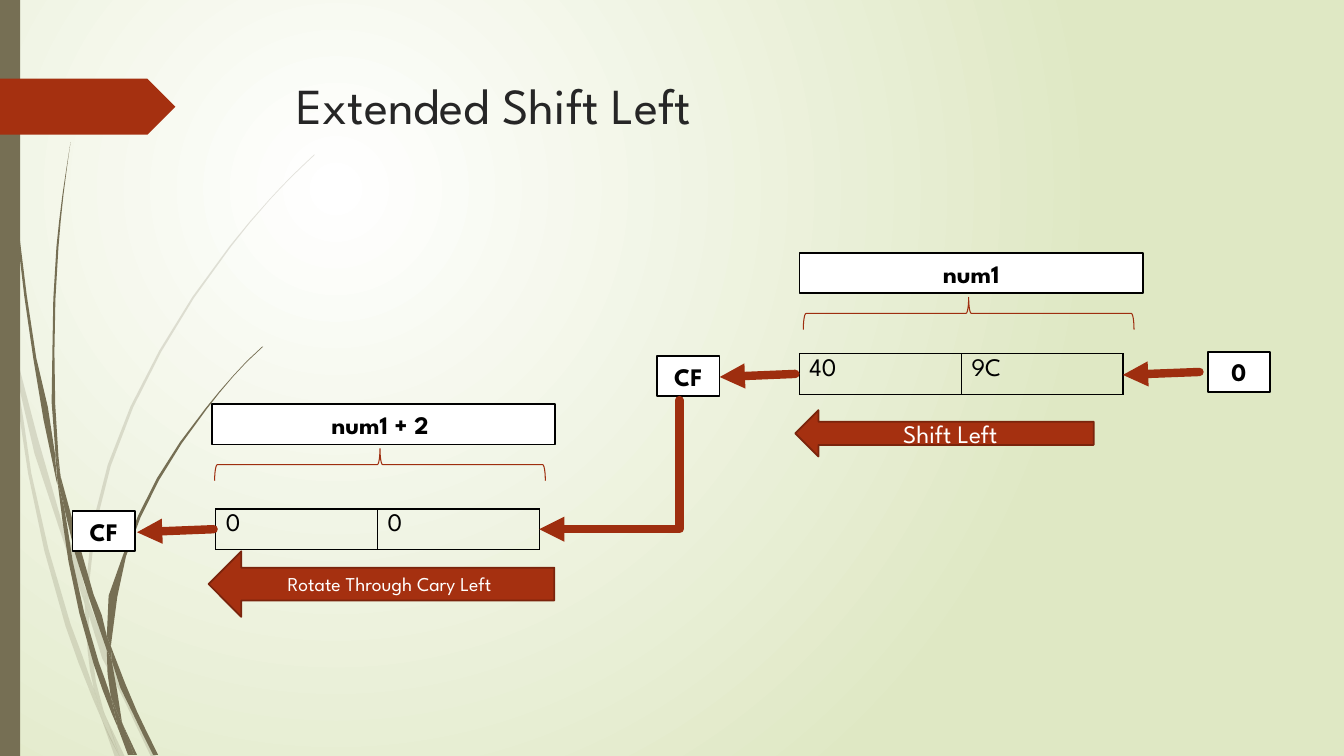
from dataclasses import dataclass

from lxml import etree
from pptx import Presentation
from pptx.dml.color import RGBColor
from pptx.enum.shapes import MSO_CONNECTOR, MSO_SHAPE
from pptx.enum.text import MSO_ANCHOR, MSO_AUTO_SIZE, PP_ALIGN
from pptx.oxml.ns import qn
from pptx.util import Pt

STRAIGHT, ELBOW = MSO_CONNECTOR.STRAIGHT, MSO_CONNECTOR.ELBOW
RECTANGLE, PENTAGON = MSO_SHAPE.RECTANGLE, MSO_SHAPE.PENTAGON
LEFT_ARROW, LEFT_BRACE = MSO_SHAPE.LEFT_ARROW, MSO_SHAPE.LEFT_BRACE
TOP, MIDDLE = MSO_ANCHOR.TOP, MSO_ANCHOR.MIDDLE
LEFT, CENTER = PP_ALIGN.LEFT, PP_ALIGN.CENTER
FIT_TEXT, NO_FIT = MSO_AUTO_SIZE.SHAPE_TO_FIT_TEXT, MSO_AUTO_SIZE.NONE

FONT = "League Spartan"
WHITE, BLACK = RGBColor(255, 255, 255), RGBColor(0, 0, 0)
TITLE_GRAY = RGBColor(0x26, 0x26, 0x26)
PALE_GREEN = RGBColor(0xDF, 0xE8, 0xC4)
OLIVE = RGBColor(0x76, 0x6F, 0x54)
RUST = RGBColor(0xA5, 0x30, 0x10)
DARK_RUST = RGBColor(0x7A, 0x24, 0x0C)
LINE_RUST = RGBColor(0x9E, 0x2E, 0x0F)

GRASS_UNIT = 0.72  # points per unit of the grass outlines
SHORT_EDGE = 30  # grass edges up to this length stay straight
BOX_HEIGHT, REGISTER_WIDTH = 28.8, 231.2

PALE_GRASS = [
    [(11, 350), (9, 322), (0, 282), (0, 299), (10, 344)],
    [(58, 522), (84, 599), (85, 586), (62, 520), (14, 345), (17, 376)],
    [(92, 607), (88, 596), (88, 610), (123, 694), (150, 751), (155, 751), (127, 692)],
    [(119, 751), (124, 751), (105, 711)],
    [(93, 683), (70, 619), (31, 469), (17, 376), (11, 350), (28, 470), (65, 621),
     (92, 693), (101, 714), (99, 707)],
    [(84, 599), (87, 646), (93, 683), (96, 692), (105, 711), (103, 706), (91, 646),
     (88, 610), (88, 608)],
    [(88, 584), (110, 462), (160, 349), (229, 245), (268, 198), (290, 175), (312, 154),
     (312, 153), (289, 175), (268, 197), (228, 244), (158, 348), (107, 461), (85, 584),
     (85, 586), (88, 596)],
    [(101, 714), (114, 751), (119, 751)],
    [(88, 608), (88, 610), (88, 596), (85, 586), (84, 599)],
    [(96, 692), (93, 683), (99, 707), (101, 714), (119, 751), (105, 711)],
]
DARK_GRASS = [
    [(7, 110), (17, 233), (33, 355), (56, 477), (57, 481), (55, 457), (55, 453),
     (36, 355), (19, 232), (8, 109), (5, 48), (4, 0), (3, 0), (4, 48)],
    [(88, 592), (106, 645), (106, 633), (106, 631), (93, 590), (60, 472), (64, 505)],
    [(113, 649), (110, 641), (111, 656), (132, 708), (152, 749), (157, 749), (136, 706)],
    [(110, 691), (98, 657), (72, 556), (64, 505), (57, 477), (68, 557), (93, 659),
     (111, 708), (117, 722), (116, 717)],
    [(60, 472), (58, 453), (54, 349), (58, 245), (63, 193), (70, 141), (62, 193),
     (56, 245), (52, 349), (55, 449)],
    [(133, 749), (136, 749), (122, 719)],
    [(57, 477), (64, 505), (60, 472), (55, 449), (55, 453)],
    [(111, 633), (125, 552), (158, 476), (205, 406), (231, 374), (245, 359), (261, 344),
     (260, 344), (245, 358), (231, 373), (204, 405), (156, 474), (122, 551), (106, 631),
     (110, 641)],
    [(117, 722), (127, 749), (131, 749)],
    [(106, 645), (110, 691), (116, 706), (122, 719), (121, 716), (111, 656), (109, 651)],
    [(106, 645), (109, 651), (111, 656), (110, 641), (106, 631), (106, 633)],
    [(116, 706), (110, 691), (116, 717), (117, 722), (130, 749), (133, 749), (122, 719)],
]


@dataclass
class Block:
    text: str
    left: float
    top: float
    width: float
    height: float = BOX_HEIGHT
    size: float = 18


@dataclass
class Arrow:
    begin: tuple[float, float]
    end: tuple[float, float]
    kind: int = STRAIGHT


LABELS = [Block("num1", 571, 180.7, 245.5), Block("num1 + 2 ", 151.2, 288.7, 245.5),
          Block("CF", 469.4, 254.2, 44.6), Block("CF", 51.8, 365, 44.6),
          Block("0", 862.6, 251.3, 44.6)]
OPERATIONS = [Block("Shift Left", 568.1, 293, 213.1, 33.1),
              Block("Rotate Through Cary Left", 149, 393.8, 247, 46.8, 14)]
REGISTERS = [(("40", "9C"), 571, 252.7), (("0", "0"), 154.1, 363.6)]
BRACES = [(680.4, 105.8), (259.9, 213.8)]
ARROWS = [Arrow((568.1, 267.1), (514.1, 269.3)), Arrow((856.8, 265.7), (802.1, 267.8)),
          Arrow((152.6, 378), (97.9, 380.2)), Arrow((485.3, 285.8), (385.2, 378), ELBOW)]


def smooth(outline: list[tuple[int, int]]) -> list[tuple[int, int]]:
    """Bend the long edges of a closed outline and keep its sharp corners."""
    nodes = [complex(*node) for node in outline]
    edges = [nodes[(i + 1) % len(nodes)] - node for i, node in enumerate(nodes)]
    tangents = []
    for before, after in zip([edges[-1]] + edges, edges):
        inward, outward = before / abs(before), after / abs(after)
        if (inward * outward.conjugate()).real > 0.8:
            blend = inward * abs(after) + outward * abs(before)
            inward = outward = blend / abs(blend)
        tangents.append((inward, outward))
    spots = []
    for i, (node, edge) in enumerate(zip(nodes, edges)):
        spots.append(node)
        if abs(edge) > SHORT_EDGE:
            bend = tangents[i][1] - tangents[(i + 1) % len(nodes)][0]
            spots.append(node + edge / 2 + bend * abs(edge) / 8)
    return [(Pt(spot.real * GRASS_UNIT), Pt(spot.imag * GRASS_UNIT)) for spot in spots]


def add_grass(shapes, outlines: list, alpha: int) -> None:
    tuft = shapes.add_group_shape()
    for outline in outlines:
        points = smooth(outline)
        builder = tuft.shapes.build_freeform(*points[0])
        builder.add_line_segments(points[1:], close=True)
        blade = builder.convert_to_shape()
        paint(blade, OLIVE)
        if alpha < 100:
            color = blade._element.spPr.find(qn("a:solidFill"))[0]
            etree.SubElement(color, qn("a:alpha"), val=str(alpha * 1000))


def paint(shape, fill: RGBColor | None, line: RGBColor | None = None,
          width: float = 1.25) -> None:
    shape.shadow.inherit = False
    if fill is None:
        shape.fill.background()
    else:
        shape.fill.solid()
        shape.fill.fore_color.rgb = fill
    if line is None:
        shape.line.fill.background()
    else:
        shape.line.color.rgb = line
        shape.line.width = Pt(width)


def write(frame, text: str, size: float, color: RGBColor, align=LEFT, bold=False) -> None:
    para = frame.paragraphs[0]
    para.text, para.alignment = text, align
    font = para.font
    font.name, font.size, font.bold = FONT, Pt(size), bold
    font.color.rgb = color


def add_preset(shapes, kind, left: float, top: float, width: float, height: float):
    return shapes.add_shape(kind, Pt(left), Pt(top), Pt(width), Pt(height))


def add_block(shapes, block: Block, kind, fill: RGBColor, line: RGBColor,
              color: RGBColor, anchor, bold: bool) -> None:
    box = add_preset(shapes, kind, block.left, block.top, block.width, block.height)
    paint(box, fill, line)
    frame = box.text_frame
    frame.word_wrap, frame.vertical_anchor = True, anchor
    frame.auto_size = FIT_TEXT if kind == RECTANGLE else NO_FIT
    write(frame, block.text, block.size, color, CENTER, bold)


def add_register(shapes, values: tuple, left: float, top: float) -> None:
    table = shapes.add_table(1, len(values), Pt(left), Pt(top), Pt(REGISTER_WIDTH),
                             Pt(BOX_HEIGHT)).table
    table.first_row = table.horz_banding = False
    for cell, value in zip(table.rows[0].cells, values):
        write(cell.text_frame, value, 18, BLACK)
        properties = cell._tc.get_or_add_tcPr()
        for side in ("lnL", "lnR", "lnT", "lnB"):
            border = etree.SubElement(properties, qn(f"a:{side}"), w=str(Pt(1)))
            solid = etree.SubElement(border, qn("a:solidFill"))
            etree.SubElement(solid, qn("a:srgbClr"), val=str(BLACK))
        cell.fill.background()


def add_arrow(shapes, arrow: Arrow) -> None:
    ends = [Pt(value) for value in arrow.begin + arrow.end]
    connector = shapes.add_connector(arrow.kind, *ends)
    connector.line.color.rgb = LINE_RUST
    connector.line.width = Pt(6)
    properties = connector._element.spPr
    line = properties.find(qn("a:ln"))
    line.set("cap", "rnd")
    etree.SubElement(line, qn("a:tailEnd"), type="triangle")
    etree.SubElement(properties, qn("a:effectLst"))
    if arrow.kind == ELBOW:  # turn down right at the start
        guides = properties.find(qn("a:prstGeom")).get_or_add_avLst()
        etree.SubElement(guides, qn("a:gd"), name="adj1", fmla="val 0")


deck = Presentation()
deck.slide_width, deck.slide_height = Pt(960), Pt(540)
slide = deck.slides.add_slide(deck.slide_layouts[5])
shapes = slide.shapes

# Background glow
background = slide.background.fill
background.gradient()
for stop, color in zip(background.gradient_stops, (WHITE, PALE_GREEN)):
    stop.color.rgb = color
gradient = slide.element.find(".//" + qn("a:gradFill"))
gradient.remove(gradient.find(qn("a:lin")))
glow = etree.SubElement(gradient, qn("a:path"))
glow.set("path", "circle")
etree.SubElement(glow, qn("a:fillToRect"), l="50000", t="50000", r="100000", b="100000")

# Grass, side bar and ribbon
add_grass(shapes, PALE_GRASS, 20)
add_grass(shapes, DARK_GRASS, 100)
paint(add_preset(shapes, RECTANGLE, 0, 0, 14.4, 540), OLIVE)
paint(add_preset(shapes, PENTAGON, 0, 56.2, 125.3, 40), RUST)

# Title
title = shapes.title
title.left, title.top, title.width, title.height = Pt(204.5), Pt(49), Pt(702), Pt(100.8)
title.text_frame.vertical_anchor = TOP
title.text_frame.auto_size = NO_FIT
write(title.text_frame, "Extended Shift Left", 36, TITLE_GRAY)

# Registers with their braces, labels and operations
for register in REGISTERS:
    add_register(shapes, *register)
for left, top in BRACES:
    brace = add_preset(shapes, LEFT_BRACE, left, top, 23, 236.2)
    brace.rotation = 90
    paint(brace, None, LINE_RUST, 0.75)
for label in LABELS:
    add_block(shapes, label, RECTANGLE, WHITE, BLACK, BLACK, TOP, True)
for operation in OPERATIONS:
    add_block(shapes, operation, LEFT_ARROW, RUST, DARK_RUST, WHITE, MIDDLE, False)

# Path of the bits
for arrow in ARROWS:
    add_arrow(shapes, arrow)

deck.save("out.pptx")
